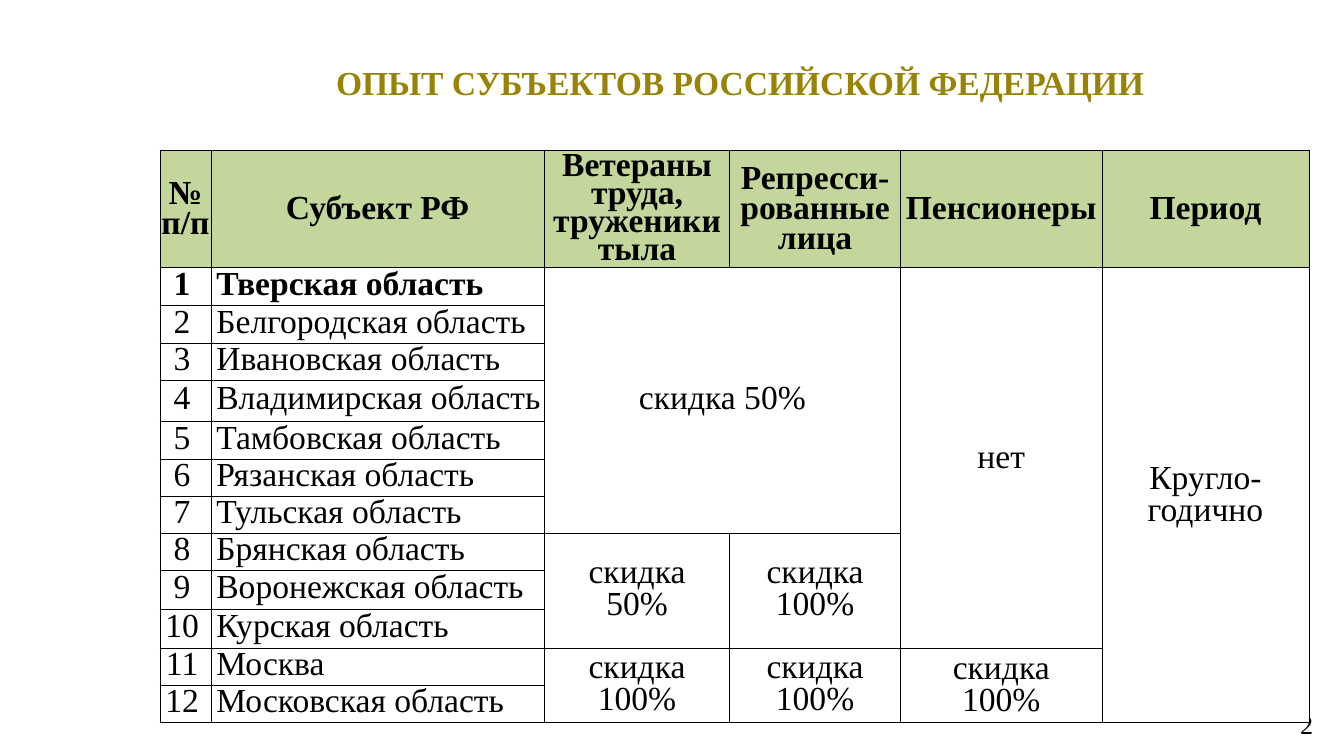
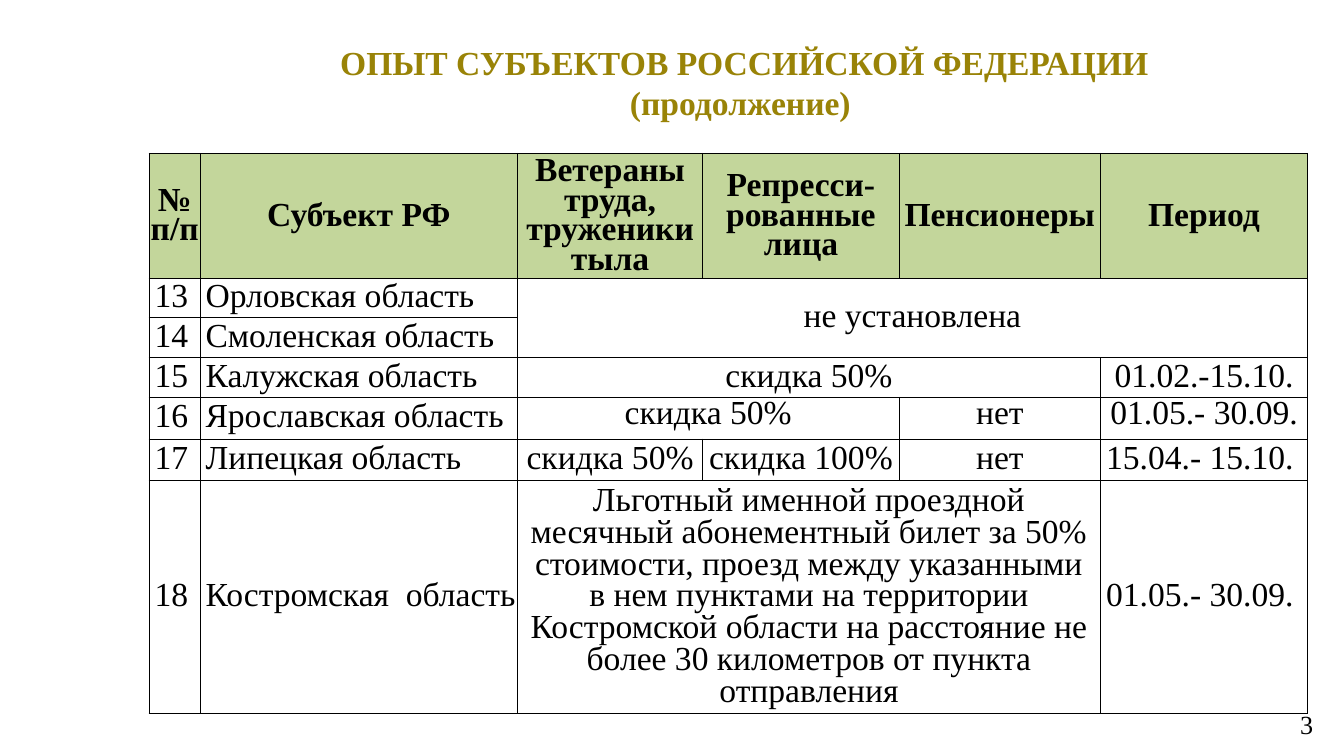
from pptx import Presentation
from pptx.dml.color import RGBColor
from pptx.enum.text import MSO_ANCHOR as ANCHOR, MSO_AUTO_SIZE as AUTOSIZE, PP_ALIGN as ALIGN
from pptx.oxml import parse_xml
from pptx.oxml.ns import nsdecls
from pptx.util import Inches, Pt

BLACK, WHITE, GOLD, GREEN = "000000", "FFFFFF", "998307", "C3D69B"
TOP, MIDDLE, BOTTOM = ANCHOR.TOP, ANCHOR.MIDDLE, ANCHOR.BOTTOM


def style(paragraph, size, color, bold, align):
    paragraph.alignment = align
    font = paragraph.font
    font.name, font.size, font.bold = "Times New Roman", Pt(size), bold
    font.color.rgb = RGBColor.from_string(color)


def write(cell, text, insets, anchor=MIDDLE, bold=False, align=ALIGN.CENTER, spacing=17):
    left, top, right, bottom = insets
    cell.margin_left, cell.margin_top = Inches(left), Inches(top)
    cell.margin_right, cell.margin_bottom = Inches(right), Inches(bottom)
    cell.vertical_anchor = anchor
    paragraph = cell.text_frame.paragraphs[0]
    paragraph.text = text
    paragraph.line_spacing = Pt(spacing)
    style(paragraph, 18, BLACK, bold, align)
    return paragraph


headings = ["№\nп/п", "Субъект РФ", "Ветераны труда, труженики тыла",
            "Репресси-рованные лица", "Пенсионеры", "Период"]

season_ticket = ("Льготный именной проездной месячный абонементный билет за 50% стоимости, "
                 "проезд между указанными в нем пунктами на территории Костромской области "
                 "на расстояние не более 30 километров от пункта отправления")

pages = [
    dict(
        number=2, title=["ОПЫТ СУБЪЕКТОВ РОССИЙСКОЙ ФЕДЕРАЦИИ "],
        frame=(1.19, 1.12, 8.53, 4.25), first=1, veterans_spacing=15, region_top=0.02,
        widths=[0.38, 2.48, 1.38, 1.27, 1.5, 1.54],
        heights=[0.35, 0.28, 0.28, 0.24, 0.31, 0.17, 0.15, 0.18, 0.23, 0.29, 0.29, 0.23, 0.28],
        anchors=[MIDDLE] * 12,
        regions=["Тверская область", "Белгородская область", "Ивановская область",
                 "Владимирская область", "Тамбовская область", "Рязанская область",
                 "Тульская область", "Брянская область", "Воронежская область",
                 "Курская область", "Москва", "Московская область"],
        benefits=[(1, 2, 7, 2, 0.08, "скидка 50%"), (1, 4, 10, 1, 0.08, "нет"),
                  (1, 5, 12, 1, 0.08, "Кругло- годично"),
                  (8, 2, 3, 1, 0.08, "скидка 50%"), (8, 3, 3, 1, 0.08, "скидка 100%"),
                  (11, 2, 2, 1, 0.08, "скидка 100%"), (11, 3, 2, 1, 0.08, "скидка 100%"),
                  (11, 4, 2, 1, 0.08, "скидка 100%")]),
    dict(
        number=3, title=["ОПЫТ СУБЪЕКТОВ РОССИЙСКОЙ ФЕДЕРАЦИИ", "(продолжение) "],
        frame=(1.11, 1.14, 8.6, 4.19), first=13, veterans_spacing=16, region_top=0.04,
        widths=[0.38, 2.36, 1.38, 1.46, 1.5, 1.54],
        heights=[0.35, 0.25, 0.22, 0.24, 0.31, 0.31, 1.73],
        anchors=[BOTTOM] * 3 + [TOP] + [MIDDLE] * 2,
        regions=["Орловская область", "Смоленская область", "Калужская область",
                 "Ярославская область", "Липецкая область", "Костромская  область"],
        benefits=[(1, 2, 2, 4, 0.08, "не установлена"),
                  (3, 2, 1, 3, 0.08, "скидка 50%"), (3, 5, 1, 1, 0, "01.02.-15.10."),
                  (4, 2, 1, 2, 0.08, "скидка 50%"), (4, 4, 1, 1, 0.08, "нет"),
                  (4, 5, 1, 1, 0, "01.05.- 30.09."),
                  (5, 2, 1, 1, 0, "скидка 50%"), (5, 3, 1, 1, 0, "скидка 100%"),
                  (5, 4, 1, 1, 0.08, "нет"), (5, 5, 1, 1, 0, "15.04.- 15.10. "),
                  (6, 2, 1, 3, 0.05, season_ticket), (6, 5, 1, 1, 0, "01.05.- 30.09. ")]),
]

prs = Presentation()
prs.slide_width = Inches(10)
prs.slide_height = prs.slide_width * 9 // 16

for page in pages:
    slide = prs.slides.add_slide(prs.slide_layouts[5])

    title = slide.shapes.title
    title.left, title.top = Inches(1.11), Inches(0.21)
    title.width, title.height = Inches(8.86), Inches(0.8)
    title.text_frame.text = "\n".join(page["title"])
    title.text_frame.auto_size = AUTOSIZE.NONE
    title.text_frame.vertical_anchor = MIDDLE
    for line in title.text_frame.paragraphs:
        style(line, 18, GOLD, True, ALIGN.CENTER)

    page_number = slide.shapes.add_textbox(Inches(7.62), Inches(5.24), Inches(2.25), Inches(0.3))
    page_number.text_frame.word_wrap = True
    page_number.text_frame.vertical_anchor = MIDDLE
    page_number.text_frame.text = str(page["number"])
    style(page_number.text_frame.paragraphs[0], 14, BLACK, False, ALIGN.RIGHT)

    widths, heights = page["widths"], page["heights"]
    left, top, width, height = [Inches(length) for length in page["frame"]]
    discounts_frame = slide.shapes.add_table(len(heights), len(widths), left, top, width, height)
    discounts = discounts_frame.table
    discounts.first_row = discounts.horz_banding = False
    for column, column_width in zip(discounts.columns, widths):
        column.width = Inches(column_width)
    for row, row_height in zip(discounts.rows, heights):
        row.height = Inches(row_height)
    discounts_frame.width, discounts_frame.height = width, height

    for index, row in enumerate(discounts.rows):
        for cell in row.cells:
            properties = cell._tc.get_or_add_tcPr()
            for side in "LRTB":
                properties.append(parse_xml(
                    f'<a:ln{side} {nsdecls("a")} w="{Pt(0.5)}"><a:solidFill>'
                    f'<a:srgbClr val="{BLACK}"/></a:solidFill></a:ln{side}>'))
            cell.fill.solid()
            cell.fill.fore_color.rgb = RGBColor.from_string(WHITE if index else GREEN)

    for col, heading in enumerate(headings):
        write(discounts.cell(0, col), heading, (0, 0.04, 0, 0), bold=True,
              spacing=page["veterans_spacing"] if col == 2 else 16)

    for row, (region, anchor) in enumerate(zip(page["regions"], page["anchors"]), 1):
        bold = region == "Тверская область"
        write(discounts.cell(row, 0), str(page["first"] + row - 1),
              (0, page["region_top"], 0.05, 0.02), anchor, bold)
        write(discounts.cell(row, 1), region,
              (0.04, page["region_top"], 0, 0.02), anchor, bold, ALIGN.LEFT)

    for row, col, row_span, col_span, side, benefit in page["benefits"]:
        cell = discounts.cell(row, col)
        if row_span * col_span > 1:
            cell.merge(discounts.cell(row + row_span - 1, col + col_span - 1))
        bottom = 0.02 if page["number"] == 2 and col < 4 else 0
        anchor = TOP if page["anchors"][row - 1] == TOP else MIDDLE
        paragraph = write(cell, benefit, (side, 0.02, side, bottom), anchor)
        if row_span == 7:
            paragraph.space_after = Pt(12)

prs.save("out.pptx")
